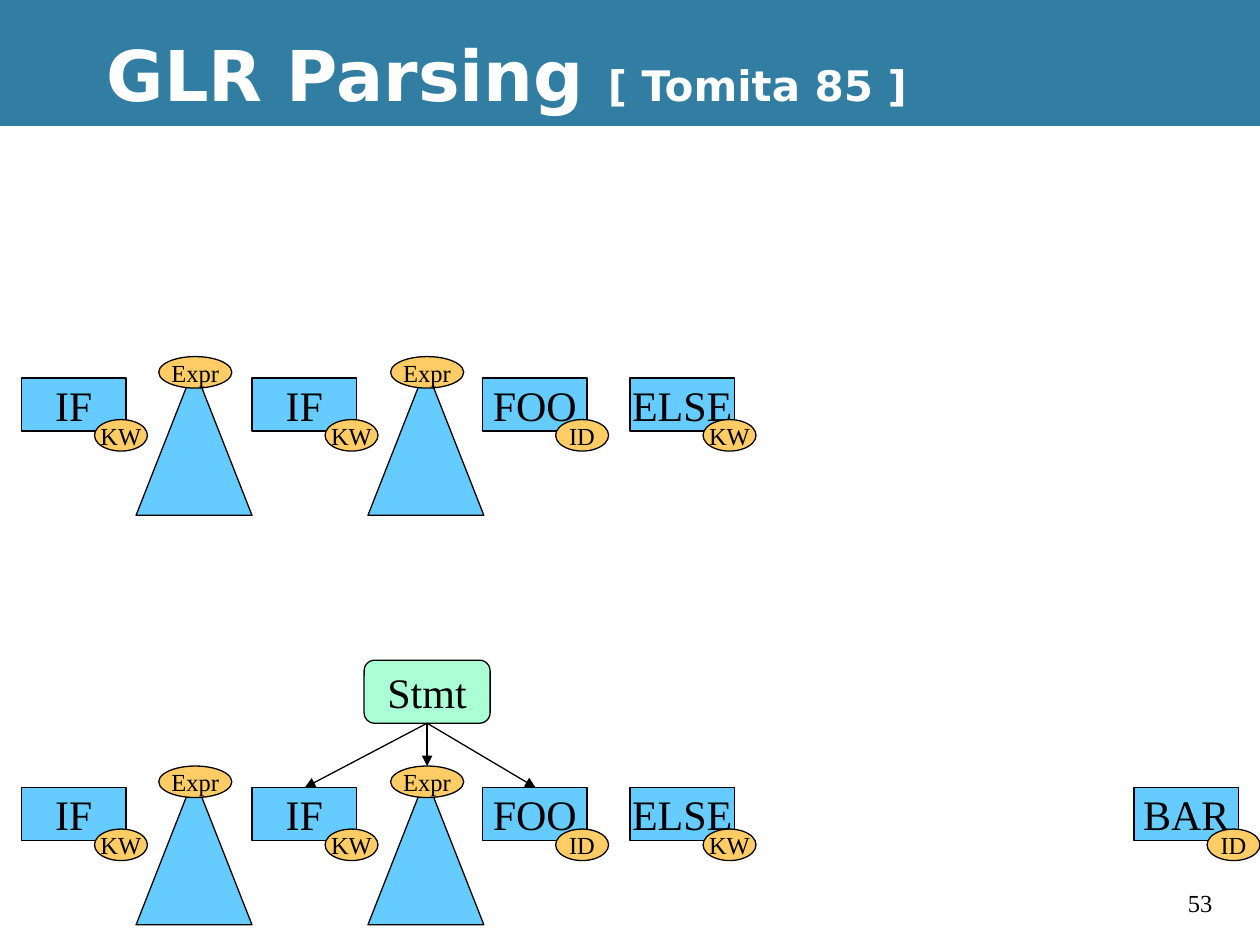
"""Build the GLR parsing slide with two token stacks and a reduction."""
from dataclasses import dataclass

from lxml.etree import SubElement
from pptx import Presentation
from pptx.dml.color import RGBColor
from pptx.enum.shapes import MSO_CONNECTOR as Connector, MSO_SHAPE as Shape
from pptx.enum.text import MSO_ANCHOR as Anchor, PP_ALIGN as Align
from pptx.oxml.ns import qn
from pptx.util import Inches, Pt


@dataclass(frozen=True)
class Theme:
    """Colours, fonts and sizes of the slide."""
    black: str = "000000"
    white: str = "FFFFFF"
    banner: str = "327EA3"
    token: str = "66CCFF"
    tag: str = "FFCC66"
    statement: str = "AAFFD4"
    title_font: str = "DejaVu Sans"
    body_font: str = "Times New Roman"
    title_size: int = 40
    body_size: int = 24
    tag_size: int = 14
    line_width: float = 0.75


THEME = Theme()
STACK = (
    (0.17, "IF", "KW"),
    (1.08, "Expr", None),
    (2, "IF", "KW"),
    (2.92, "Expr", None),
    (3.83, "FOO", "ID"),
    (5, "ELSE", "KW"),
)
UPPER_TOP, LOWER_TOP = 3, 6.25


def style_run(run, size, font=THEME.body_font, color=THEME.black, bold=False):
    """Set the font of one run."""
    run.font.name, run.font.size, run.font.bold = font, Pt(size), bold
    run.font.color.rgb = RGBColor.from_string(color)


def add_figure(shapes, kind, box, fill, label="", size=THEME.body_size, outlined=True):
    """Add a filled preset shape with an optional centred label."""
    figure = shapes.add_shape(kind, *map(Inches, box))
    figure.shadow.inherit = False
    figure.fill.solid()
    figure.fill.fore_color.rgb = RGBColor.from_string(fill)
    if outlined:
        figure.line.color.rgb = RGBColor.from_string(THEME.black)
        figure.line.width = Pt(THEME.line_width)
    else:
        figure.line.fill.background()
    if label:
        frame = figure.text_frame
        frame.text = label
        frame.word_wrap = False
        frame.vertical_anchor = Anchor.MIDDLE
        frame.paragraphs[0].alignment = Align.CENTER
        style_run(frame.paragraphs[0].runs[0], size)
    return figure


def add_tag(shapes, left, top, width, label):
    """Add a small oval category tag."""
    add_figure(shapes, Shape.OVAL, (left, top, width, 0.25), THEME.tag, label, THEME.tag_size)


def add_token(slide, left, top, word, category):
    """Add a token box with its category tag as a group."""
    shapes = slide.shapes.add_group_shape().shapes
    add_figure(shapes, Shape.RECTANGLE, (left, top, 0.83, 0.42), THEME.token, word)
    add_tag(shapes, left + 0.58, top + 0.33, 0.42, category)


def add_subtree(slide, left, top, category):
    """Add a parsed subtree with its category tag as a group."""
    shapes = slide.shapes.add_group_shape().shapes
    add_figure(shapes, Shape.ISOSCELES_TRIANGLE, (left, top - 0.08, 0.92, 1.17), THEME.token)
    add_tag(shapes, left + 0.18, top - 0.17, 0.58, category)


def add_stack(slide, top):
    """Add one row of tokens and subtrees."""
    for left, word, category in STACK:
        if category:
            add_token(slide, left, top, word, category)
        else:
            add_subtree(slide, left, top, word)


def add_arrow(slide, start, end):
    """Add a thin arrow between two points."""
    arrow = slide.shapes.add_connector(Connector.STRAIGHT, *map(Inches, (*start, *end)))
    arrow.line.color.rgb = RGBColor.from_string(THEME.black)
    arrow.line.width = Pt(THEME.line_width)
    SubElement(arrow.line._get_or_add_ln(), qn("a:tailEnd"), type="triangle")
    SubElement(arrow._element.spPr, qn("a:effectLst"))


def add_reduction(slide):
    """Add the statement node and arrows to its three children."""
    add_figure(slide.shapes, Shape.ROUNDED_RECTANGLE, (2.89, 5.24, 1, 0.5),
               THEME.statement, "Stmt")
    for child in ((2.42, LOWER_TOP), (3.39, LOWER_TOP - 0.17), (4.25, LOWER_TOP)):
        add_arrow(slide, (3.39, 5.74), child)


def add_text(slide, box, parts, anchor=Anchor.TOP, **style):
    """Add a text box made of (text, size) parts."""
    frame = slide.shapes.add_textbox(*map(Inches, box)).text_frame
    frame.word_wrap = True
    frame.vertical_anchor = anchor
    for words, size in parts:
        run = frame.paragraphs[0].add_run()
        run.text = words
        style_run(run, size, **style)


def add_frame(slide):
    """Add the background, banner, page number and title."""
    slide.background.fill.solid()
    slide.background.fill.fore_color.rgb = RGBColor.from_string(THEME.black)
    for top, height, color in ((1, 6.5, THEME.white), (0, 1, THEME.banner)):
        add_figure(slide.shapes, Shape.RECTANGLE, (0, top, 10, height), color, outlined=False)
    add_text(slide, (9.33, 7, 0.5, 0.33), [("53", THEME.tag_size)])
    add_text(slide, (0.75, 0.08, 9.25, 1),
             [("GLR Parsing ", THEME.title_size), ("[ Tomita 85 ]", THEME.body_size)],
             Anchor.MIDDLE, font=THEME.title_font, color=THEME.white, bold=True)


def main():
    """Build and save the slide."""
    deck = Presentation()
    deck.slide_width, deck.slide_height = Inches(10), Inches(7.5)
    slide = deck.slides.add_slide(deck.slide_layouts[6])
    add_frame(slide)
    for top in (UPPER_TOP, LOWER_TOP):
        add_stack(slide, top)
    add_token(slide, 9, LOWER_TOP, "BAR", "ID")
    add_reduction(slide)
    deck.save("out.pptx")


main()
